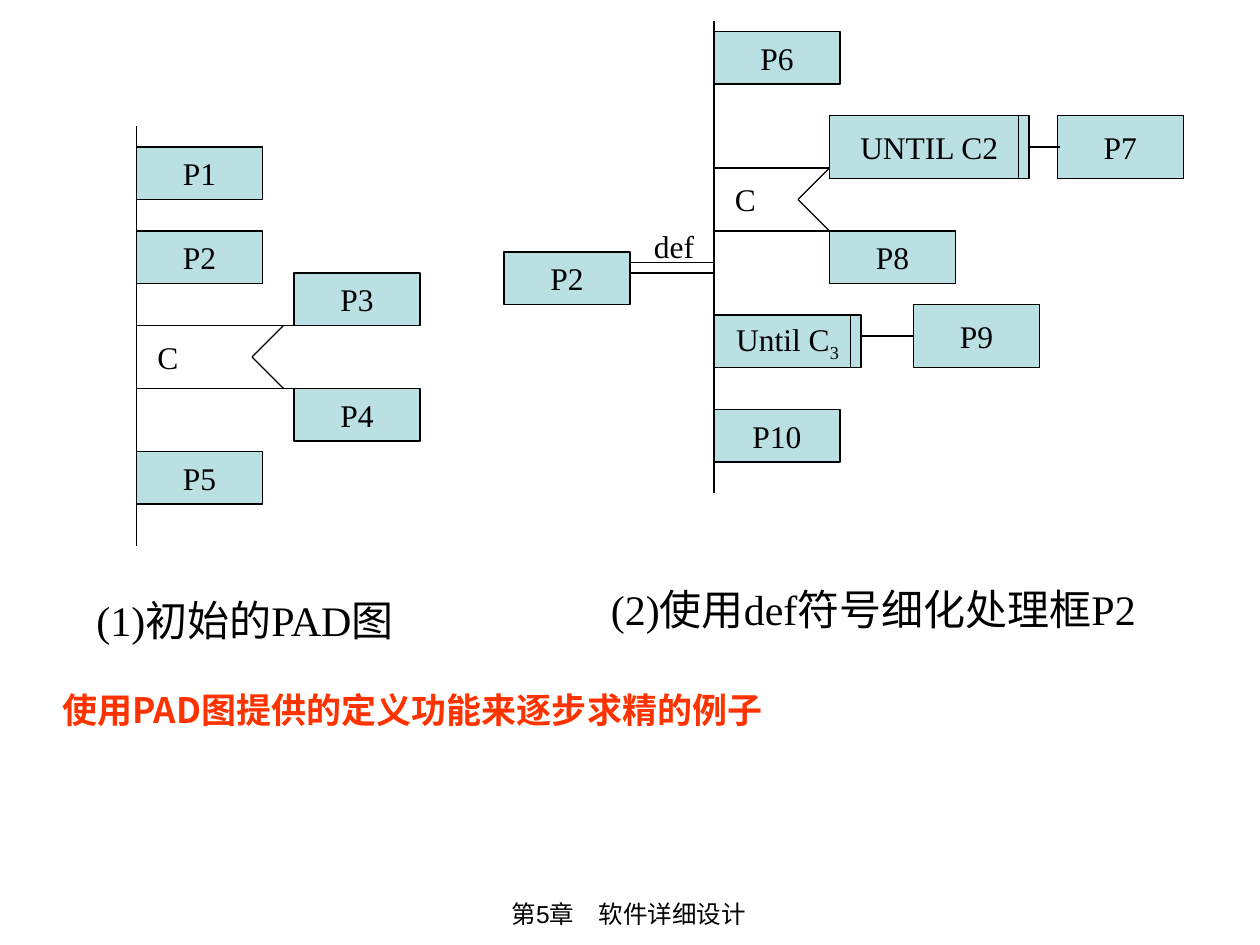
from lxml import etree
from pptx import Presentation
from pptx import util as u
from pptx.dml.color import RGBColor
from pptx.enum import shapes, text
from pptx.oxml.ns import qn

# The drawing sits on a grid of twelve units to the inch
UNIT = 2.54 / 12
SERIF, SANS, CJK = "Times New Roman", "Arial", "Noto Sans CJK SC"
BLACK, ORANGE, TEAL = "000000", "FF3300", "BBE0E3"


def grid(*units):
    return [u.Cm(UNIT * value) for value in units]


def color(value):
    return RGBColor.from_string(value)


def format_run(run, size, font=SERIF, hex_color=BLACK, bold=False):
    run.font.size = u.Pt(size)
    run.font.name = font
    run.font.bold = bold
    run.font.color.rgb = color(hex_color)
    etree.SubElement(run.font._element, qn("a:ea"), typeface=CJK)


def add_box(slide, label, left, top, width=12, height=5, subscript=""):
    shape = slide.shapes.add_shape(shapes.MSO_SHAPE.RECTANGLE,
                                   *grid(left, top, width, height))
    shape.shadow.inherit = False
    shape.fill.solid()
    shape.fill.fore_color.rgb = color(TEAL)
    shape.line.color.rgb = color(BLACK)
    shape.line.width = u.Pt(0.75)
    frame = shape.text_frame
    frame.word_wrap = False
    frame.vertical_anchor = text.MSO_ANCHOR.MIDDLE
    frame.text = label
    paragraph = frame.paragraphs[0]
    paragraph.alignment = text.PP_ALIGN.CENTER
    format_run(paragraph.runs[0], 18)
    if subscript:
        run = paragraph.add_run()
        run.text = subscript
        format_run(run, 18)
        run.font._element.set("baseline", "-25000")


def add_line(slide, x1, y1, x2, y2):
    line = slide.shapes.add_connector(shapes.MSO_CONNECTOR.STRAIGHT,
                                      *grid(x1, y1, x2, y2))
    line.line.color.rgb = color(BLACK)
    line.line.width = u.Pt(0.75)
    etree.SubElement(line._element.spPr, qn("a:effectLst"))


def add_text(slide, content, left, top, width, height, size=18, wrap=True,
             space_before=0, align=text.PP_ALIGN.LEFT, **font):
    box = slide.shapes.add_textbox(*grid(left, top, width, height))
    frame = box.text_frame
    frame.word_wrap = wrap
    frame.auto_size = text.MSO_AUTO_SIZE.SHAPE_TO_FIT_TEXT
    frame.text = content
    paragraph = frame.paragraphs[0]
    paragraph.alignment = align
    paragraph.space_before = u.Pt(space_before)
    format_run(paragraph.runs[0], size, **font)
    return frame


def add_decision(slide, spine, top, length, tip):
    """Two branches joined by a notch, with the condition C between them."""
    bottom, middle = top + 6, top + 3
    for y in (top, bottom):
        add_line(slide, spine, y, spine + length, y)
        add_line(slide, spine + tip, middle, spine + tip + 3, y)
    add_text(slide, "C", spine + 0.8, top + 0.6, 4.3, 4.8, wrap=False)


def add_initial_diagram(slide):
    spine = 13
    add_line(slide, spine, 12, spine, 52)
    for label, top in (("P1", 14), ("P2", 22), ("P5", 43)):
        add_box(slide, label, spine, top)
    add_decision(slide, spine, 31, length=17, tip=11)
    for label, top in (("P3", 26), ("P4", 37)):
        add_box(slide, label, 28, top)
    add_text(slide, "(1)初始的PAD图", 8, 56, 42, 6, size=24, space_before=15)


def add_refined_diagram(slide):
    spine = 68
    # Definition of P2
    add_box(slide, "P2", 48, 24)
    for y in (25, 26):
        add_line(slide, 60, y, spine, y)
    add_text(slide, "def", 61.1, 21, 6.2, 4.8, wrap=False)
    # Sequence and decision
    add_line(slide, spine, 2, spine, 47)
    for label, top in (("P6", 3), ("P10", 39)):
        add_box(slide, label, spine, top)
    add_decision(slide, spine, 16, length=12, tip=8)
    add_box(slide, "P8", 79, 22)
    # Loops with their bodies
    add_box(slide, "P7", 100.7, 11, height=6)
    add_box(slide, "UNTIL C2", 79, 11, width=19, height=6)
    add_line(slide, 97, 11, 97, 17)
    add_line(slide, 98, 14, 101, 14)
    add_box(slide, "Until C", spine, 30, width=14, subscript="3")
    add_line(slide, 81, 30, 81, 35)
    add_line(slide, 82, 32, 87, 32)
    add_box(slide, "P9", 87, 29, height=6)
    add_text(slide, "(2)使用def符号细化处理框P2", 57, 55, 58, 6,
             size=24, space_before=15)


def main():
    presentation = Presentation()
    presentation.slide_width, presentation.slide_height = grid(120, 90)
    slide = presentation.slides.add_slide(presentation.slide_layouts[6])

    # Footer
    add_text(slide, "第5章　软件详细设计", 28.2, 85, 63.4, 4.1, size=14,
             space_before=8.8, align=text.PP_ALIGN.CENTER, font=SANS)

    add_initial_diagram(slide)
    add_refined_diagram(slide)

    # Caption
    caption = add_text(slide, "使用PAD图提供的定义功能来逐步求精的例子",
                       4, 65, 109, 5.3, size=20, space_before=12.5,
                       font=CJK, hex_color=ORANGE, bold=True)
    caption.margin_left = u.Cm(0.41)

    presentation.save("out.pptx")


if __name__ == "__main__":
    main()
